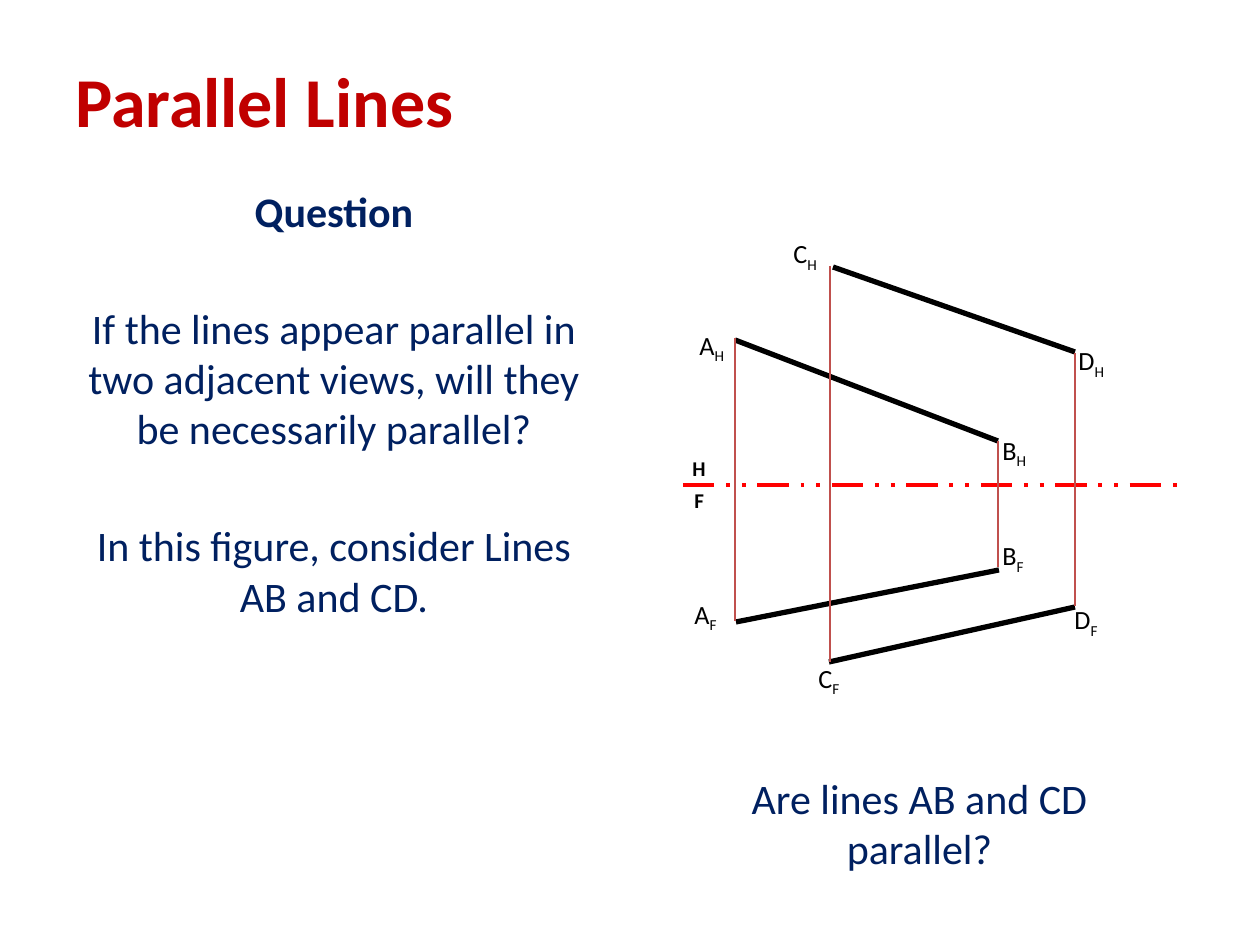
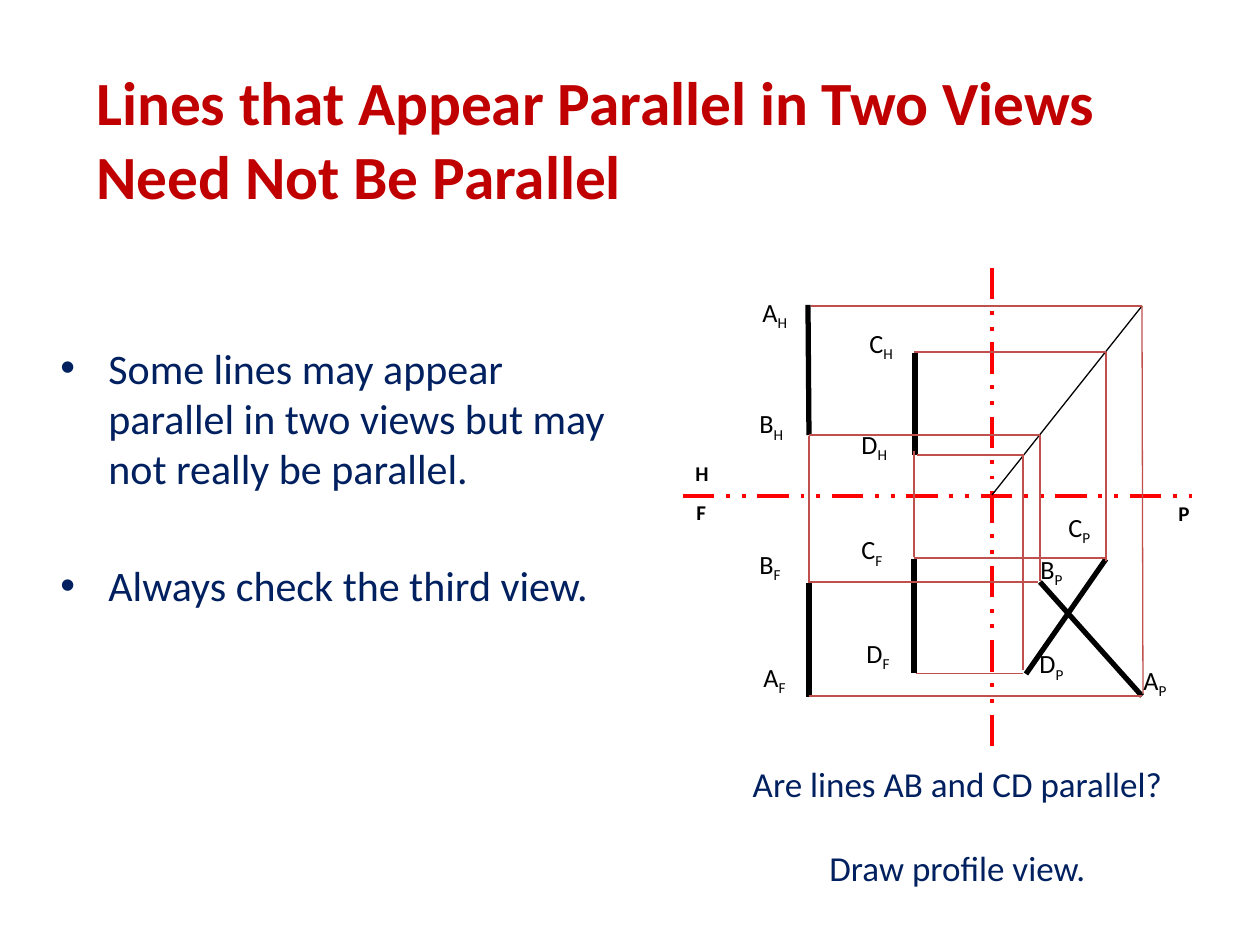
from lxml import etree
from pptx import Presentation
from pptx import util as u
from pptx.dml.color import RGBColor
from pptx.enum import dml, shapes, text
from pptx.oxml.ns import qn

PX = 914400 / 126  # EMU per px

RED = RGBColor(0xC0, 0x00, 0x00)
NAVY = RGBColor(0x00, 0x20, 0x60)
BLACK = RGBColor(0x00, 0x00, 0x00)
FOLD_RED = RGBColor(0xFF, 0x00, 0x00)
PROJECTION_RED = RGBColor(0xC0, 0x50, 0x4D)
FONT = "Calibri"

# Label widths by point letter, by view, and for the view names alone
POINT_WIDTHS = {"A": 49, "B": 48, "C": 48, "D": 50}
VIEW_EXTRA = {"H": 2, "F": 0, "P": 0}
VIEW_WIDTHS = {"H": 39, "F": 35, "P": 37}


def emu(px):
    return u.Emu(round(px * PX))


def style(para, size, color, bold=False):
    for span in para.runs:
        span.font.name = FONT
        span.font.size = u.Pt(size)
        span.font.color.rgb = color
        span.font.bold = bold


def add_box(page, left, top, width, height, wrap=True):
    box = page.shapes.add_textbox(*map(emu, (left, top, width, height)))
    box.text_frame.word_wrap = wrap
    return box


def add_title(page, words, left, top, size):
    box = add_box(page, left, top, 1134, 158)
    box.text_frame.vertical_anchor = text.MSO_ANCHOR.MIDDLE
    box.text_frame.text = words
    style(box.text_frame.paragraphs[0], size, RED, bold=True)


def add_bullet(para, indent):
    props = para._p.get_or_add_pPr()
    props.set("marL", str(emu(indent)))
    props.set("indent", str(-emu(indent)))
    etree.SubElement(props, qn("a:buFont")).set("typeface", "Arial")
    etree.SubElement(props, qn("a:buChar")).set("char", "•")


def add_body(page, place, lines, size=24, gap=38, bullets=False, heading=False):
    """Navy paragraphs, centred or bulleted; a heading makes the first bold."""
    frame = add_box(page, *place).text_frame
    frame.text = "\n".join(lines)
    for index, para in enumerate(frame.paragraphs):
        if bullets:
            add_bullet(para, 48)
        else:
            para.alignment = text.PP_ALIGN.CENTER
        if index:
            para.space_before = u.Pt(gap)
        style(para, size, NAVY, bold=heading and index == 0)


def add_line(page, ends, color, width, dash=None):
    line = page.shapes.add_connector(
        shapes.MSO_CONNECTOR.STRAIGHT, *map(emu, ends))
    line.line.color.rgb = color
    line.line.width = u.Pt(width)
    if dash:
        line.line.dash_style = dash
    etree.SubElement(line._element.spPr, qn("a:effectLst"))


def add_fold(page, ends):
    add_line(page, ends, FOLD_RED, 2.25, dml.MSO_LINE.DASH_DOT_DOT)


def add_edges(page, edges):
    for ends in edges:
        add_line(page, ends, BLACK, 3)


def add_projections(page, projections):
    for ends in projections:
        add_line(page, ends, PROJECTION_RED, 0.75)


def add_point_labels(page, labels):
    """Labels such as AH: point letter with its view as a subscript."""
    for (point, view), (left, top) in labels.items():
        width = POINT_WIDTHS[point] + VIEW_EXTRA[view]
        para = add_box(page, left, top, width, 44, False).text_frame.paragraphs[0]
        para.text = point
        subscript = para.add_run()
        subscript.text = view
        style(para, 15, BLACK)
        subscript._r.get_or_add_rPr().set("baseline", "-25000")


def add_view_names(page, names):
    for view, (left, top) in names.items():
        frame = add_box(page, left, top, VIEW_WIDTHS[view], 38, False).text_frame
        frame.text = view
        style(frame.paragraphs[0], 12, BLACK, bold=True)


def build_question(page):
    # Two-view drawing
    add_fold(page, (683, 485, 1187, 485))
    add_edges(page, [
        (735, 340, 998, 441), (833, 267, 1075, 352),
        (736, 622, 999, 570), (829, 662, 1075, 607),
    ])
    add_projections(page, [
        (735, 338, 735, 621), (998, 441, 998, 567),
        (1075, 353, 1075, 606), (830, 266, 830, 662),
    ])
    add_view_names(page, {"F": (682, 481), "H": (680, 449)})
    add_point_labels(page, {
        "AH": (687, 323), "BH": (990, 428), "CH": (781, 231), "DH": (1066, 338),
        "AF": (682, 592), "BF": (990, 533), "CF": (806, 656), "DF": (1062, 597),
    })

    # Wording
    add_body(page, (63, 179, 542, 693), [
        "Question",
        "If the lines appear parallel in two adjacent views, "
        "will they be necessarily parallel?",
        "In this figure, consider Lines AB and CD.",
    ], heading=True)
    add_body(page, (680, 766, 479, 115), ["Are lines AB and CD parallel?"])
    add_title(page, "Parallel Lines", 63, 21, 40)


def build_third_view(page):
    # Fold lines, mitre line and edges
    add_fold(page, (683, 496, 1197, 496))
    add_fold(page, (992, 746, 992, 262))
    add_line(page, (992, 495, 1142, 306), BLACK, 0.75)
    add_edges(page, [
        (808, 305, 809, 435), (915, 353, 915, 455),
        (809, 583, 809, 697), (914, 559, 914, 673),
        (1026, 674, 1106, 559), (1040, 582, 1142, 696),
    ])

    # Projections of A, B, C and D
    add_projections(page, [
        (811, 306, 1142, 306), (1142, 306, 1143, 694), (809, 696, 1142, 696),
        (809, 435, 1040, 435), (1040, 435, 1040, 581), (808, 582, 1038, 582),
        (809, 436, 809, 581),
        (914, 352, 1106, 352), (1106, 352, 1106, 561), (914, 558, 1106, 558),
        (917, 455, 1024, 455), (1023, 455, 1023, 670), (914, 451, 914, 557),
    ])
    add_line(page, (916, 673, 1023, 673), PROJECTION_RED, 0.25)

    # Labels
    add_point_labels(page, {
        "AH": (750, 290), "BH": (747, 401), "CH": (857, 321), "DH": (849, 422),
        "AF": (751, 655), "BF": (747, 542), "CF": (849, 527), "DF": (854, 631),
        "AP": (1131, 658), "BP": (1028, 547), "CP": (1056, 505), "DP": (1027, 641),
    })
    add_view_names(page, {"F": (684, 493), "H": (683, 454), "P": (1166, 494)})

    # Wording
    add_body(page, (48, 336, 602, 330), [
        "Some lines may appear parallel in two views but may not really be parallel.",
        "Always check the third view.",
    ], bullets=True)
    add_body(page, (718, 756, 479, 140), [
        "Are lines AB and CD parallel?",
        "Draw profile view.",
    ], size=20, gap=24)
    add_title(page, "Lines that Appear Parallel in Two Views Need Not Be Parallel",
              84, 59, 35.1)


def main():
    deck = Presentation()
    deck.slide_width, deck.slide_height = emu(1260), emu(945)
    blank = deck.slide_layouts[6]
    for build in (build_question, build_third_view):
        build(deck.slides.add_slide(blank))
    deck.save("out.pptx")


if __name__ == "__main__":
    main()
